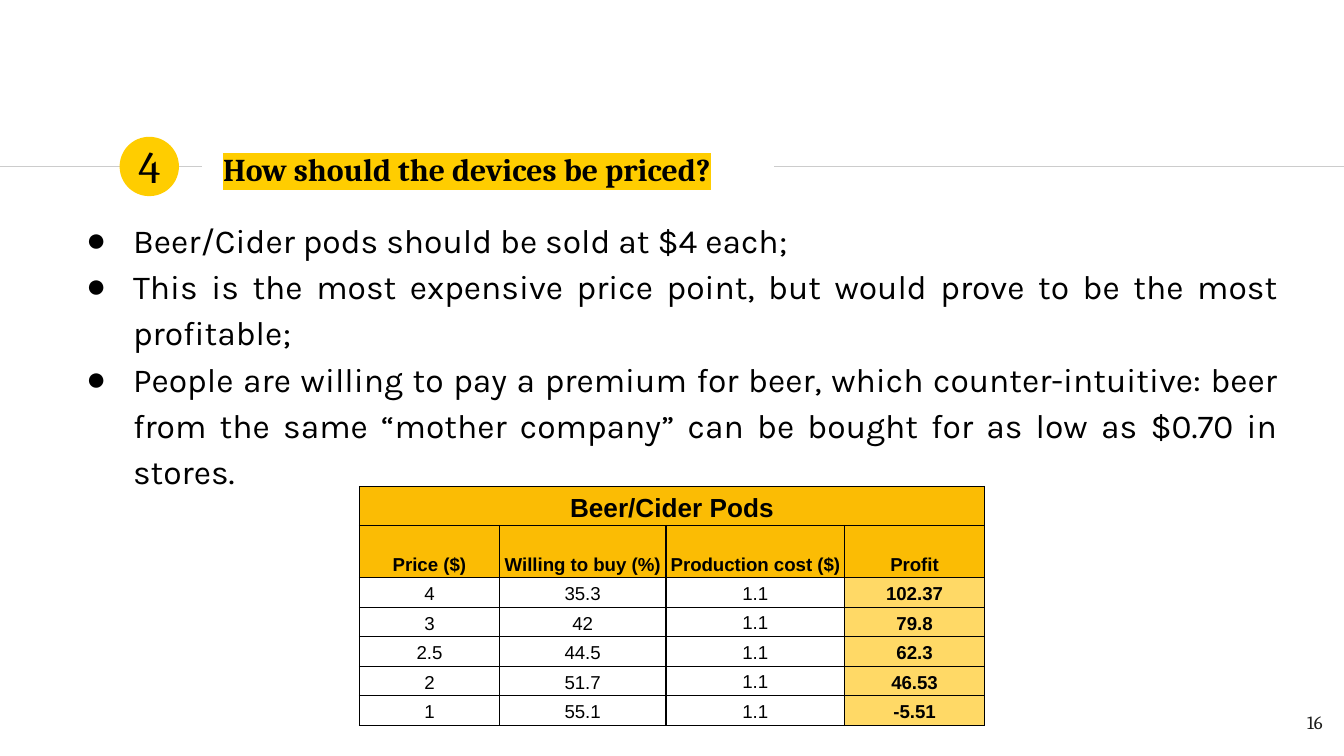
from lxml.etree import SubElement
from pptx import Presentation
from pptx.dml.color import RGBColor
from pptx.enum.shapes import MSO_CONNECTOR, MSO_SHAPE
from pptx.enum.text import MSO_ANCHOR, MSO_AUTO_SIZE, PP_ALIGN
from pptx.oxml.ns import qn
from pptx.util import Inches, Pt

WIDTH = Inches(10)
HEIGHT = WIDTH * 9 // 16
COLUMN, ROW = WIDTH / 100, HEIGHT / 100  # grid of 100 columns by 100 rows

BLACK, INK, RULE = "000000", "1D1D1B", "CCCCCC"
YELLOW, HEADER_FILL, PROFIT_FILL = "FFCD00", "FBBC04", "FFD966"

ADVICE = [
    "Beer/Cider pods should be sold at $4 each;",
    "This is the most expensive price point, but would prove to be the most profitable;",
    "People are willing to pay a premium for beer, which counter-intuitive: beer from the "
    "same “mother company” can be bought for as low as $0.70 in stores.",
]
PRICE_HEADERS = ["Price ($)", "Willing to buy (%)", "Production cost ($)", "Profit"]
PRICE_ROWS = [
    ["4", "35.3", "1.1", "102.37"],
    ["3", "42", "1.1", "79.8"],
    ["2.5", "44.5", "1.1", "62.3"],
    ["2", "51.7", "1.1", "46.53"],
    ["1", "55.1", "1.1", "-5.51"],
]
COLUMN_SHARES = [1.04, 1.24, 1.33, 1.04]
ROW_SHARES = [0.27, 0.39] + [0.22] * len(PRICE_ROWS)


def color(hex_string):
    return RGBColor.from_string(hex_string)


def grid(left, top, width, height):
    """Turn grid columns and rows into slide lengths."""
    return (round(left * COLUMN), round(top * ROW),
            round(width * COLUMN), round(height * ROW))


def move(part, box):
    part.left, part.top, part.width, part.height = box


def set_frame(frame, anchor):
    frame.word_wrap = True
    frame.auto_size = MSO_AUTO_SIZE.NONE
    frame.vertical_anchor = anchor
    frame.margin_left = frame.margin_right = Inches(0.1)
    frame.margin_top = frame.margin_bottom = Inches(0.1)


def write(paragraph, words, face, size, ink=BLACK, bold=False, align=PP_ALIGN.LEFT):
    paragraph.alignment = align
    run = paragraph.add_run()
    run.text = words
    run.font.name, run.font.size, run.font.bold = face, Pt(size), bold
    run.font.color.rgb = color(ink)
    return run


def add_label(slide, box, words, size, ink, align, anchor):
    frame = slide.shapes.add_textbox(*box).text_frame
    set_frame(frame, anchor)
    write(frame.paragraphs[0], words, "Cambria", size, ink, align=align)


def highlight(run, hex_string):
    properties = run.font._element
    marker = SubElement(properties, qn("a:highlight"))
    SubElement(marker, qn("a:srgbClr"), val=hex_string)
    properties.find(qn("a:solidFill")).addnext(marker)


def add_bullet(paragraph, symbol="●"):
    properties = paragraph._p.get_or_add_pPr()
    properties.set("marL", str(Inches(0.5)))
    properties.set("indent", str(Inches(-0.35)))
    SubElement(SubElement(properties, qn("a:buClr")), qn("a:srgbClr"), val=BLACK)
    SubElement(properties, qn("a:buFont"), typeface="Arial")
    SubElement(properties, qn("a:buChar"), char=symbol)


def add_rule(slide, start, end, height):
    rule = slide.shapes.add_connector(
        MSO_CONNECTOR.STRAIGHT, round(start), round(height), round(end), round(height))
    rule.line.color.rgb = color(RULE)
    rule.line.width = Pt(0.75)
    SubElement(rule._element.spPr, qn("a:effectLst"))


def add_heading(slide, box, number, question):
    """Put a numbered badge and the title on a rule that breaks around the title."""
    left, top, width, height = box
    middle = top + height / 2
    add_rule(slide, left, left + 0.15 * width, middle)
    add_rule(slide, left + 57.6 * width / 100, left + width, middle)

    badge_left = left + round(8.9 * width / 100)
    badge = slide.shapes.add_shape(MSO_SHAPE.OVAL, badge_left, top, height, height)
    badge.shadow.inherit = False
    badge.fill.solid()
    badge.fill.fore_color.rgb = color(YELLOW)
    badge.line.fill.background()
    number_box = (badge_left, top - round(0.06 * height), height, round(1.09 * height))
    add_label(slide, number_box, number, 24, BLACK, PP_ALIGN.CENTER, MSO_ANCHOR.MIDDLE)

    title = slide.shapes.title
    move(title, (left + round(15.6 * width / 100), top,
                 round(44.8 * width / 100), round(1.09 * height)))
    set_frame(title.text_frame, MSO_ANCHOR.MIDDLE)
    highlight(write(title.text_frame.paragraphs[0], question, "Cambria", 17, bold=True), YELLOW)


def add_advice(slide, box, points):
    body = slide.placeholders[1]
    move(body, box)
    frame = body.text_frame
    set_frame(frame, MSO_ANCHOR.MIDDLE)
    for index, point in enumerate(points):
        paragraph = frame.add_paragraph() if index else frame.paragraphs[0]
        write(paragraph, point, "Karla", 18, align=PP_ALIGN.JUSTIFY)
        paragraph.line_spacing = 1.15
        paragraph.space_before = Pt(0 if index else 6)
        add_bullet(paragraph)


def fill_cell(cell, words, size=10, bold=False, fill=None, anchor=MSO_ANCHOR.BOTTOM):
    cell.margin_left = cell.margin_right = Inches(0.03)
    cell.margin_top = cell.margin_bottom = Inches(0.02)
    cell.vertical_anchor = anchor
    for side in ("a:lnL", "a:lnR", "a:lnT", "a:lnB"):
        border = SubElement(cell._tc.get_or_add_tcPr(), qn(side), w=str(Pt(0.75)))
        SubElement(SubElement(border, qn("a:solidFill")), qn("a:srgbClr"), val=BLACK)
    if fill:
        cell.fill.solid()
        cell.fill.fore_color.rgb = color(fill)
    else:
        cell.fill.background()
    paragraph = cell.text_frame.paragraphs[0]
    paragraph.line_spacing = 1.15
    if words:
        write(paragraph, words, "Arial", size, bold=bold, align=PP_ALIGN.CENTER)


def add_price_table(slide, box, caption):
    _, _, width, height = box
    table = slide.shapes.add_table(len(ROW_SHARES), len(COLUMN_SHARES), *box).table
    table.first_row = table.horz_banding = False
    for column, share in zip(table.columns, COLUMN_SHARES):
        column.width = round(width * share / sum(COLUMN_SHARES))
    for row, share in zip(table.rows, ROW_SHARES):
        row.height = round(height * share / sum(ROW_SHARES))

    last = len(COLUMN_SHARES) - 1
    table.cell(0, 0).merge(table.cell(0, last))
    for c, header in enumerate(PRICE_HEADERS):
        fill_cell(table.cell(0, c), "" if c else caption, 14, True, HEADER_FILL)
        fill_cell(table.cell(1, c), header, bold=True, fill=HEADER_FILL)
    for r, values in enumerate(PRICE_ROWS, start=2):
        for c, value in enumerate(values):
            fill_cell(table.cell(r, c), value, bold=c == last,
                      fill=PROFIT_FILL if c == last else None,
                      anchor=MSO_ANCHOR.MIDDLE if c == 2 else MSO_ANCHOR.BOTTOM)


def main():
    deck = Presentation()
    deck.slide_width, deck.slide_height = WIDTH, HEIGHT
    slide = deck.slides.add_slide(deck.slide_layouts[1])
    add_heading(slide, grid(0, 18.1, 100, 7.85), "4", "How should the devices be priced?")
    add_advice(slide, grid(3.9, 28.95, 92.2, 35.4), ADVICE)
    add_price_table(slide, grid(26.75, 64.35, 46.5, 31.2), "Beer/Cider Pods")
    add_label(slide, grid(93.4, 92.3, 6, 7.65), "16", 10, INK, PP_ALIGN.RIGHT, MSO_ANCHOR.TOP)
    deck.save("out.pptx")


if __name__ == "__main__":
    main()
